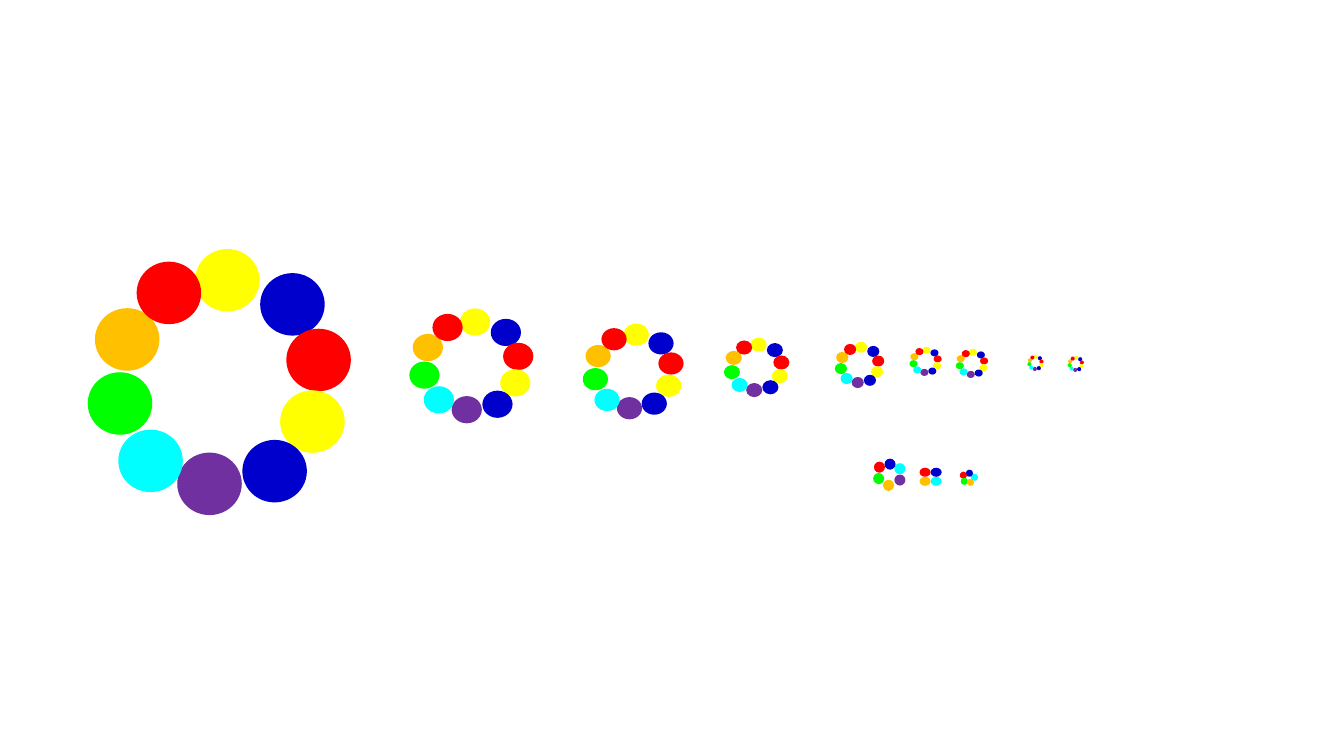
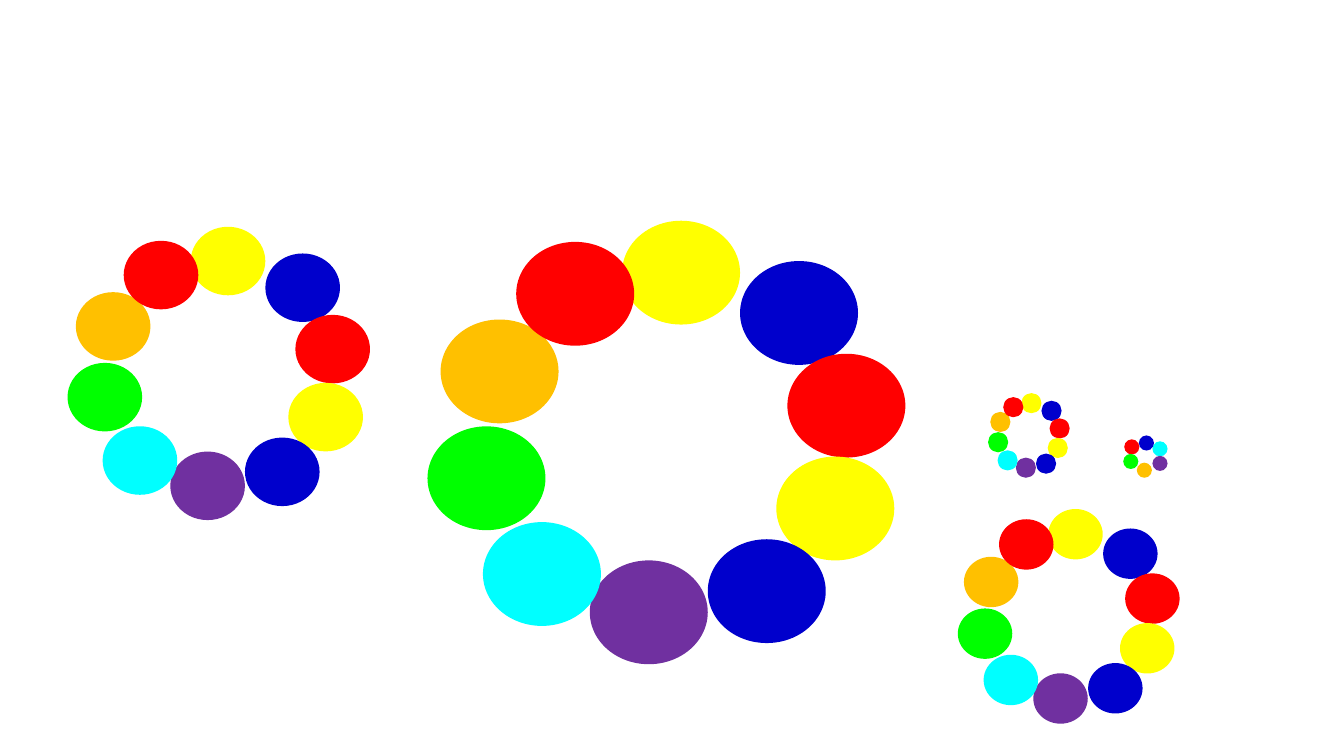
import pptx
import pptx.dml.color
import pptx.enum.shapes
import pptx.util

Inches = pptx.util.Inches

YELLOW, BLUE, RED, PURPLE = "FFFF00", "0000CC", "FF0000", "7030A0"
CYAN, GREEN, ORANGE = "00FFFF", "00FF00", "FFC000"

TEN_DOTS = [
    (1.93, 0, YELLOW), (3.1, 0.4, BLUE), (3.57, 1.32, RED),
    (3.46, 2.34, YELLOW), (2.78, 3.16, BLUE), (1.61, 3.37, PURPLE),
    (0.55, 2.99, CYAN), (0, 2.04, GREEN), (0.13, 0.98, ORANGE),
    (0.88, 0.21, RED),
]
SIX_DOTS = [
    (0.28, 0.06, CYAN), (0.15, 0, BLUE), (0.01, 0.04, RED),
    (0, 0.19, GREEN), (0.13, 0.28, ORANGE), (0.28, 0.21, PURPLE),
]
FIVE_DOTS = [
    (0.11, 0.04, CYAN), (0.06, 0, BLUE), (0, 0.02, RED),
    (0.01, 0.08, GREEN), (0.07, 0.09, ORANGE),
]
FOUR_DOTS = [(1, 1, CYAN), (1, 0, BLUE), (0, 0, RED), (0, 1, ORANGE)]

FIRST_PAGE = [
    (TEN_DOTS, (0.87, 2.47, 2.61, 2.64), (0.64, 0.62)),
    (TEN_DOTS, (4.06, 3.06, 1.23, 1.14), (0.3, 0.27)),
    (TEN_DOTS, (5.78, 3.21, 1, 0.95), (0.25, 0.22)),
    (TEN_DOTS, (7.18, 3.35, 0.65, 0.59), (0.16, 0.14)),
    (TEN_DOTS, (8.28, 3.39, 0.49, 0.46), (0.12, 0.11)),
    (TEN_DOTS, (9.02, 3.44, 0.32, 0.29), (0.08, 0.07)),
    (TEN_DOTS, (9.48, 3.46, 0.32, 0.29), (0.08, 0.07)),
    (TEN_DOTS, (10.19, 3.52, 0.16, 0.16), (0.04, 0.04)),
    (TEN_DOTS, (10.59, 3.53, 0.16, 0.16), (0.04, 0.04)),
    (SIX_DOTS, (8.66, 4.55, 0.32, 0.32), (0.11, 0.11)),
    (FOUR_DOTS, (9.12, 4.64, 0.22, 0.18), (0.11, 0.09)),
    (FIVE_DOTS, (9.52, 4.66, 0.18, 0.16), (0.07, 0.07)),
]
SECOND_PAGE = [
    (TEN_DOTS, (0.67, 2.25, 3, 2.91), (0.74, 0.68)),
    (TEN_DOTS, (4.24, 2.19, 4.74, 4.4), (1.17, 1.03)),
    (TEN_DOTS, (9.8, 3.9, 0.81, 0.84), (0.2, 0.2)),
    (SIX_DOTS, (11.14, 4.32, 0.44, 0.42), (0.15, 0.15)),
    (TEN_DOTS, (9.5, 5.05, 2.2, 2.13), (0.54, 0.5)),
]


def paint(shape, colour):
    shape.shadow.inherit = False
    shape.fill.solid()
    shape.fill.fore_color.rgb = pptx.dml.color.RGBColor.from_string(colour)
    shape.line.fill.background()


def add_ring(page, pattern, box, dot):
    left, top, width, height = box
    dot_width, dot_height = dot
    scale_x = (width - dot_width) / max(x for x, y, colour in pattern)
    scale_y = (height - dot_height) / max(y for x, y, colour in pattern)
    ring = page.shapes.add_group_shape()
    for x, y, colour in pattern:
        circle = ring.shapes.add_shape(
            pptx.enum.shapes.MSO_SHAPE.OVAL,
            Inches(left + x * scale_x), Inches(top + y * scale_y),
            Inches(dot_width), Inches(dot_height))
        paint(circle, colour)


def add_ring_page(deck, rings):
    page = deck.slides.add_slide(deck.slide_layouts[6])
    for pattern, box, dot in rings:
        add_ring(page, pattern, box, dot)


def main():
    deck = pptx.Presentation()
    deck.slide_width = Inches(13.33)
    deck.slide_height = Inches(7.5)
    for rings in (FIRST_PAGE, SECOND_PAGE):
        add_ring_page(deck, rings)
    deck.save("out.pptx")


if __name__ == "__main__":
    main()
